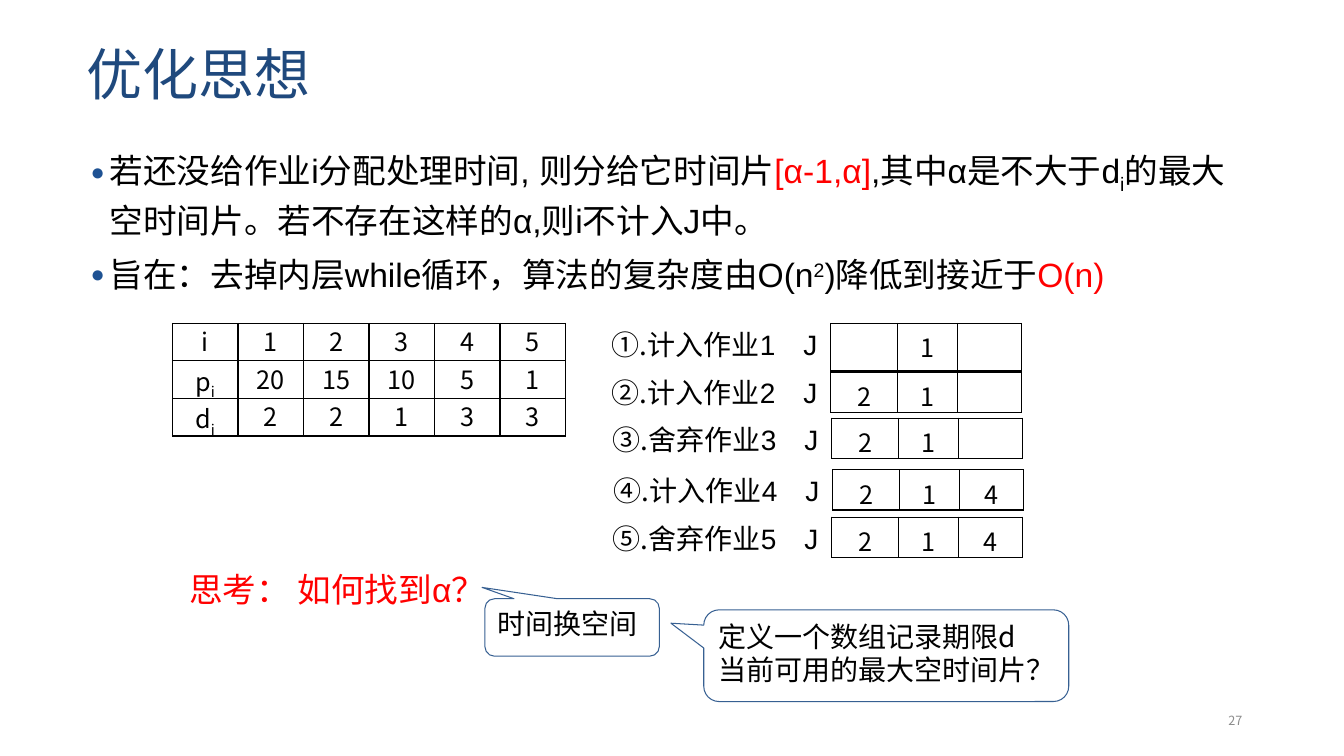
"""Build the slide on the optimisation idea for job scheduling."""
from dataclasses import dataclass
from typing import Optional

from lxml import etree
from pptx import Presentation
from pptx.dml.color import RGBColor
from pptx.enum import shapes, text
from pptx.oxml import ns
from pptx.util import Inches, Pt

BLACK = RGBColor(0, 0, 0)
WHITE = RGBColor(255, 255, 255)
RED = RGBColor(255, 0, 0)
NAVY = RGBColor(0x1F, 0x49, 0x7D)
BLUE = RGBColor(0x37, 0x60, 0x92)
GRAY = RGBColor(0x8C, 0x8C, 0x8C)
DOT = "1E5293"
ARIAL = "Arial"
NOTO = "Noto Sans CJK SC"
LEFT, MID, RIGHT = text.PP_ALIGN.LEFT, text.PP_ALIGN.CENTER, text.PP_ALIGN.RIGHT


@dataclass
class Part:
    text: str
    size: float = 24
    font: str = ARIAL
    color: RGBColor = BLACK
    base: int = 0


@dataclass
class Box:
    left: float
    top: float
    width: float
    height: float


@dataclass
class Step:
    left: float
    top: float
    label: str
    job: str
    cells: list[str]
    high: float = 0.4


@dataclass
class Note:
    box: Box
    lines: list[str]
    tip: tuple[float, float]


BODY = [
    [Part("若还没给作业i分配处理时间, 则分给它时间片"), Part("[α-1,α]", color=RED),
     Part(",其中α是不大于d"), Part("i", base=-25),
     Part("的最大空时间片。若不存在这样的α,则i不计入J中。")],
    [Part("旨在：去掉内层while循环，算法的复杂度由O(n"), Part("2", base=30),
     Part(")降低到接近于"), Part("O(n)", color=RED)],
]
JOBS = [["i", "1", "2", "3", "4", "5"],
        ["p_i", "20", "15", "10", "5", "1"],
        ["d_i", "2", "2", "1", "3", "3"]]
STEPS = [
    Step(8.24, 3.21, "①.计入作业", "1", ["", "1", ""], 0.47),
    Step(8.24, 3.69, "②.计入作业", "2", ["2", "1", ""]),
    Step(8.25, 4.15, "③.舍弃作业", "3", ["2", "1", ""]),
    Step(8.26, 4.66, "④.计入作业", "4", ["2", "1", "4"]),
    Step(8.25, 5.13, "⑤.舍弃作业", "5", ["2", "1", "4"]),
]
NOTES = [
    Note(Box(4.81, 5.94, 1.73, 0.57), ["时间换空间"], (-0.516, -0.697)),
    Note(Box(6.98, 6.05, 3.62, 0.91),
         ["定义一个数组记录期限d", "当前可用的最大空时间片？"], (-0.59, -0.354)),
]


def place(box: Box) -> tuple:
    """Give the four lengths of a box."""
    return tuple(Inches(v) for v in (box.left, box.top, box.width, box.height))


def node(owner, tag: str, **attrs: str):
    """Append a drawing element to its owner."""
    return etree.SubElement(owner, ns.qn(f"a:{tag}"), attrs)


def write(para, parts: list[Part]) -> None:
    """Add the parts to a paragraph run by run."""
    for part in parts:
        run = para.add_run()
        run.text = part.text
        run.font.size = Pt(part.size)
        run.font.color.rgb = part.color
        run.font.name = part.font
        props = run._r.get_or_add_rPr()
        node(props, "ea", typeface=NOTO)
        if part.base:
            props.set("baseline", str(part.base * 1000))


def label(slide, box: Box, parts: list[Part], align=LEFT, wrap: bool = True,
          space: Optional[float] = None, middle: bool = False) -> None:
    """Add a text box of one paragraph."""
    frame = slide.shapes.add_textbox(*place(box)).text_frame
    frame.word_wrap = wrap
    if not wrap:
        frame.auto_size = text.MSO_AUTO_SIZE.SHAPE_TO_FIT_TEXT
    if middle:
        frame.vertical_anchor = text.MSO_ANCHOR.MIDDLE
    para = frame.paragraphs[0]
    para.alignment = align
    para.line_spacing = space
    write(para, parts)


def body(slide) -> None:
    """Add the bulleted statements."""
    frame = slide.shapes.add_textbox(*place(Box(0.8, 1.39, 11.5, 1.64))).text_frame
    frame.word_wrap = True
    for index, parts in enumerate(BODY):
        para = frame.add_paragraph() if index else frame.paragraphs[0]
        props = para._p.get_or_add_pPr()
        props.set("marL", str(Inches(0.19)))
        props.set("indent", str(Inches(-0.19)))
        node(node(props, "buClr"), "srgbClr", val=DOT)
        node(props, "buSzPct", val="70000")
        node(props, "buFont", typeface=ARIAL)
        node(props, "buChar", char="●")
        para.line_spacing = 1.1
        if index:
            para.space_before = Pt(7.5)
        write(para, parts)


def grid(slide, left: float, top: float, rows: list[list[str]], cols: list[float],
         high: float, pads: tuple[float, float], space: Optional[float] = None) -> None:
    """Add a ruled table; an underscore starts a subscript."""
    box = Box(left, top, sum(cols), high * len(rows))
    table = slide.shapes.add_table(len(rows), len(cols), *place(box)).table
    table.first_row = table.horz_banding = False
    for col, width in zip(table.columns, cols):
        col.width = Inches(width)
    for row, words in zip(table.rows, rows):
        row.height = Inches(high)
        for cell, word in zip(row.cells, words):
            side, foot = pads
            cell.margin_left = cell.margin_right = Inches(side)
            cell.margin_top, cell.margin_bottom = Inches(0.05), Inches(foot)
            for edge in ("lnL", "lnR", "lnT", "lnB"):
                line = node(cell._tc.get_or_add_tcPr(), edge, w=str(Pt(1)))
                node(node(line, "solidFill"), "srgbClr", val=str(BLACK))
            cell.fill.background()
            para = cell.text_frame.paragraphs[0]
            para.alignment = MID
            para.line_spacing = space
            main, _, sub = word.partition("_")
            parts = [Part(main, 18, NOTO), Part(sub, 18, NOTO, base=-25)]
            write(para, [part for part in parts if part.text])


def trace(slide, step: Step) -> None:
    """Add one step: its label, the letter J and the slots."""
    left, top = step.left, step.top
    grid(slide, left, top, [step.cells], [0.66, 0.6, 0.63], step.high, (0.1, 0))
    label(slide, Box(left - 2.27, top - 0.01, 2.04, 0.44),
          [Part(step.label, 20, NOTO), Part(step.job, 20)], wrap=False)
    label(slide, Box(left - 0.37, top - 0.01, 0.34, 0.44), [Part("J", 20)], wrap=False)


def callout(slide, note: Note) -> None:
    """Add a rounded speech callout."""
    kind = shapes.MSO_SHAPE.ROUNDED_RECTANGULAR_CALLOUT
    shape = slide.shapes.add_shape(kind, *place(note.box))
    shape.shadow.inherit = False
    shape.adjustments[0], shape.adjustments[1] = note.tip
    shape.fill.solid()
    shape.fill.fore_color.rgb = WHITE
    shape.line.color.rgb = BLUE
    shape.line.width = Pt(0.75)
    frame = shape.text_frame
    frame.word_wrap = True
    frame.vertical_anchor = text.MSO_ANCHOR.TOP
    para = frame.paragraphs[0]
    para.alignment = LEFT
    for index, line in enumerate(note.lines):
        if index:
            para.add_line_break()
        write(para, [Part(line, 20, NOTO)])


def main() -> None:
    """Build and save the slide."""
    deck = Presentation()
    deck.slide_width, deck.slide_height = Inches(13.33), Inches(7.5)
    slide = deck.slides.add_slide(deck.slide_layouts[6])
    label(slide, Box(0.76, 0.04, 11.5, 1.45), [Part("优化思想", 40, color=NAVY)],
          space=0.9, middle=True)
    body(slide)
    label(slide, Box(9.42, 6.95, 3, 0.4), [Part("27", 9, NOTO, GRAY)], RIGHT, middle=True)
    label(slide, Box(1.62, 5.56, 3.45, 0.54),
          [Part("思考： 如何找到α", color=RED), Part("？", font=NOTO, color=RED)],
          MID, space=1.1)
    grid(slide, 1.71, 3.21, JOBS, [0.65] * 6, 0.37, (0.06, 0.05), 0.8)
    for step in STEPS:
        trace(slide, step)
    for note in NOTES:
        callout(slide, note)
    deck.save("out.pptx")


if __name__ == "__main__":
    main()
